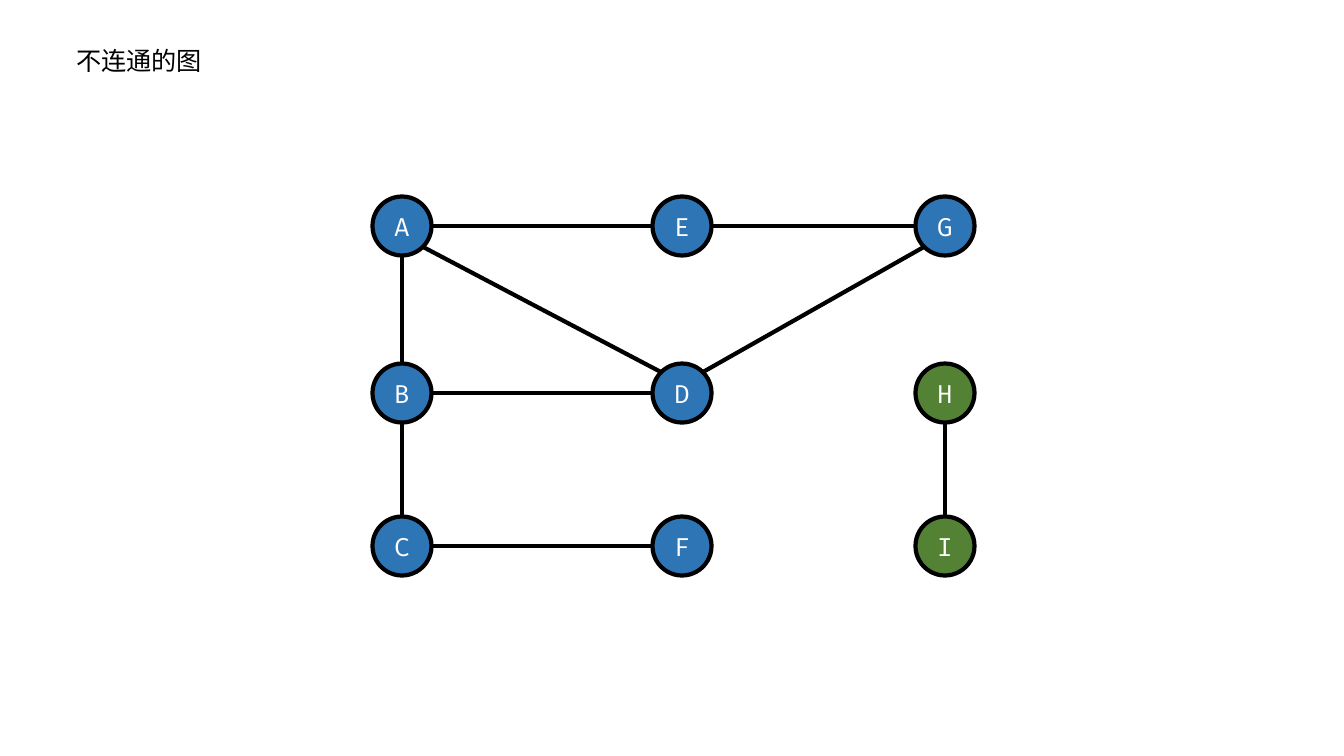
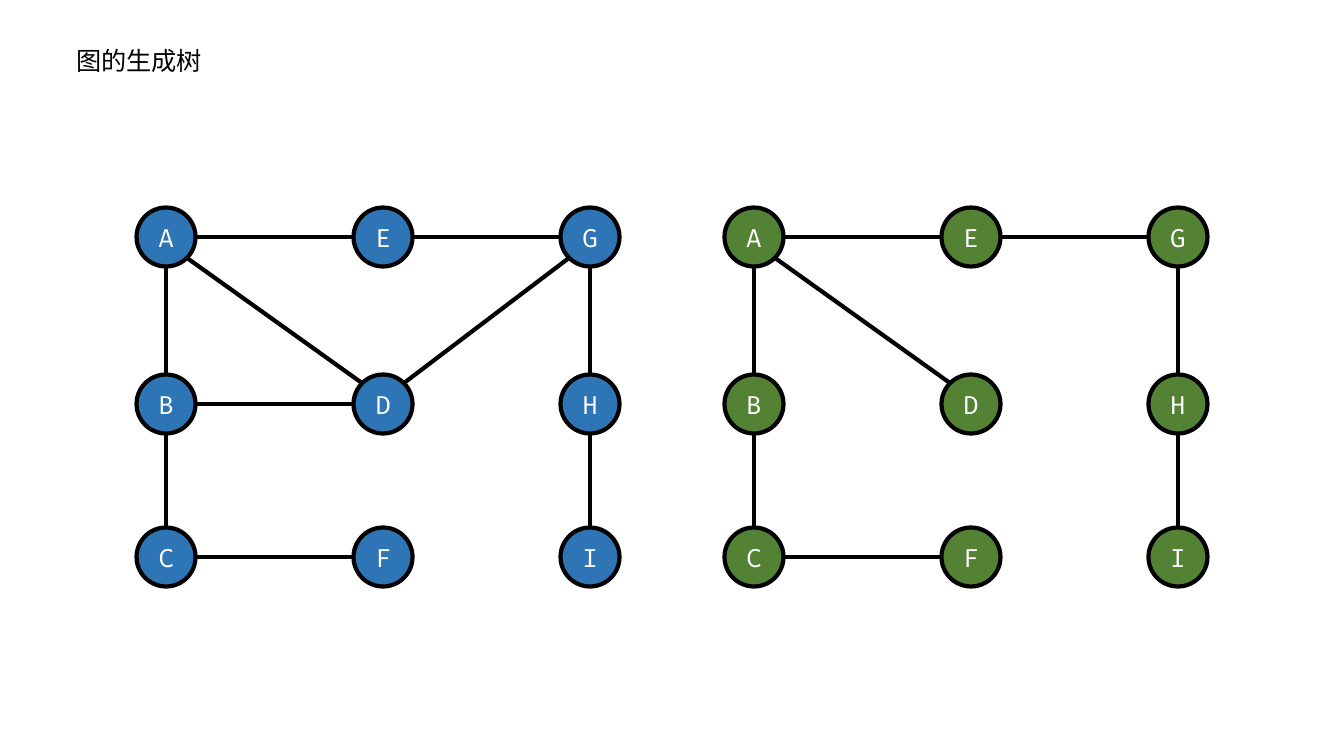
import math

from lxml import etree
from pptx import Presentation
from pptx import util as u
from pptx.dml.color import RGBColor
from pptx.enum import shapes, text
from pptx.oxml.ns import qn

COLORS = {"blue": "2E75B6", "green": "548235", "black": "000000", "white": "FFFFFF"}
TITLE_FONT, NODE_FONT = "Noto Sans CJK SC", "Fira Code"
FONT_SIZE, LINE_WIDTH = u.Pt(18), u.Pt(3)
SCALE = 914400 / 100.8  # EMU per px
DIAMETER = 59

# node: (column, row)
NODES = {
    "A": (0, 0), "E": (1, 0), "G": (2, 0),
    "B": (0, 1), "D": (1, 1), "H": (2, 1),
    "C": (0, 2), "F": (1, 2), "I": (2, 2),
}
ROWS = (0, 167, 320)
WIDE_COLUMNS, NARROW_COLUMNS = (0, 280, 543), (0, 217, 424)
TREE = ["AB", "BC", "AE", "EG", "AD", "CF", "HI", "GH"]
CYCLES = ["BD", "DG"]

# origin is the centre of node A
SLIDES = [
    ("不连通的图", [
        {"origin": (402, 226), "columns": WIDE_COLUMNS, "color": "blue",
         "other": {"H": "green", "I": "green"},
         "edges": [e for e in TREE if e != "GH"] + CYCLES},
    ]),
    ("图的生成树", [
        {"origin": (166, 237), "columns": NARROW_COLUMNS, "color": "blue",
         "other": {}, "edges": TREE + CYCLES},
        {"origin": (754, 237), "columns": NARROW_COLUMNS, "color": "green",
         "other": {}, "edges": TREE},
    ]),
]


def px(*values):
    return [u.Emu(round(v * SCALE)) for v in values]


def rgb(name):
    return RGBColor.from_string(COLORS[name])


def style_run(r, font, color):
    r.font.name = font
    r.font.size = FONT_SIZE
    r.font.color.rgb = rgb(color)


def style_line(line):
    line.color.rgb = rgb("black")
    line.width = LINE_WIDTH


def place_title(layout):
    sp = layout.placeholders[0]
    sp.left, sp.top, sp.width, sp.height = px(66, 40, 198, 40)


def add_title(slide, title):
    tf = slide.shapes.title.text_frame
    tf.text = title
    tf.word_wrap = True
    tf.auto_size = text.MSO_AUTO_SIZE.NONE
    tf.vertical_anchor = text.MSO_ANCHOR.MIDDLE
    p = tf.paragraphs[0]
    p.alignment = text.PP_ALIGN.LEFT
    r = p.runs[0]
    style_run(r, TITLE_FONT, "black")
    etree.SubElement(r.font._element, qn("a:ea"), typeface=TITLE_FONT)


def add_edge(slide, start, end):
    """Join two circles at their nearest points among the eight compass points."""
    dx, dy = ((b > a) - (b < a) for a, b in zip(start, end))
    reach = DIAMETER / 2 / math.hypot(dx, dy)
    dx, dy = dx * reach, dy * reach
    line = slide.shapes.add_connector(
        shapes.MSO_CONNECTOR.STRAIGHT,
        *px(start[0] + dx, start[1] + dy, end[0] - dx, end[1] - dy))
    style_line(line.line)
    etree.SubElement(line._element.spPr, qn("a:effectLst"))


def add_node(slide, label, center, color):
    x, y = (c - DIAMETER / 2 for c in center)
    sp = slide.shapes.add_shape(
        shapes.MSO_SHAPE.OVAL, *px(x, y, DIAMETER, DIAMETER))
    sp.shadow.inherit = False
    sp.fill.solid()
    sp.fill.fore_color.rgb = rgb(color)
    style_line(sp.line)
    tf = sp.text_frame
    tf.text = label
    tf.word_wrap = False
    tf.vertical_anchor = text.MSO_ANCHOR.MIDDLE
    p = tf.paragraphs[0]
    p.alignment = text.PP_ALIGN.CENTER
    style_run(p.runs[0], NODE_FONT, "white")


def add_graph(slide, graph):
    left, top = graph["origin"]
    centers = {label: (left + graph["columns"][col], top + ROWS[row])
               for label, (col, row) in NODES.items()}
    for start, end in graph["edges"]:
        add_edge(slide, centers[start], centers[end])
    for label, center in centers.items():
        add_node(slide, label, center, graph["other"].get(label, graph["color"]))


def main():
    prs = Presentation()
    prs.slide_width, prs.slide_height = px(1344, 756)
    layout = prs.slide_layouts[5]
    place_title(layout)
    for title, graphs in SLIDES:
        slide = prs.slides.add_slide(layout)
        add_title(slide, title)
        for graph in graphs:
            add_graph(slide, graph)
    prs.save("out.pptx")


if __name__ == "__main__":
    main()
